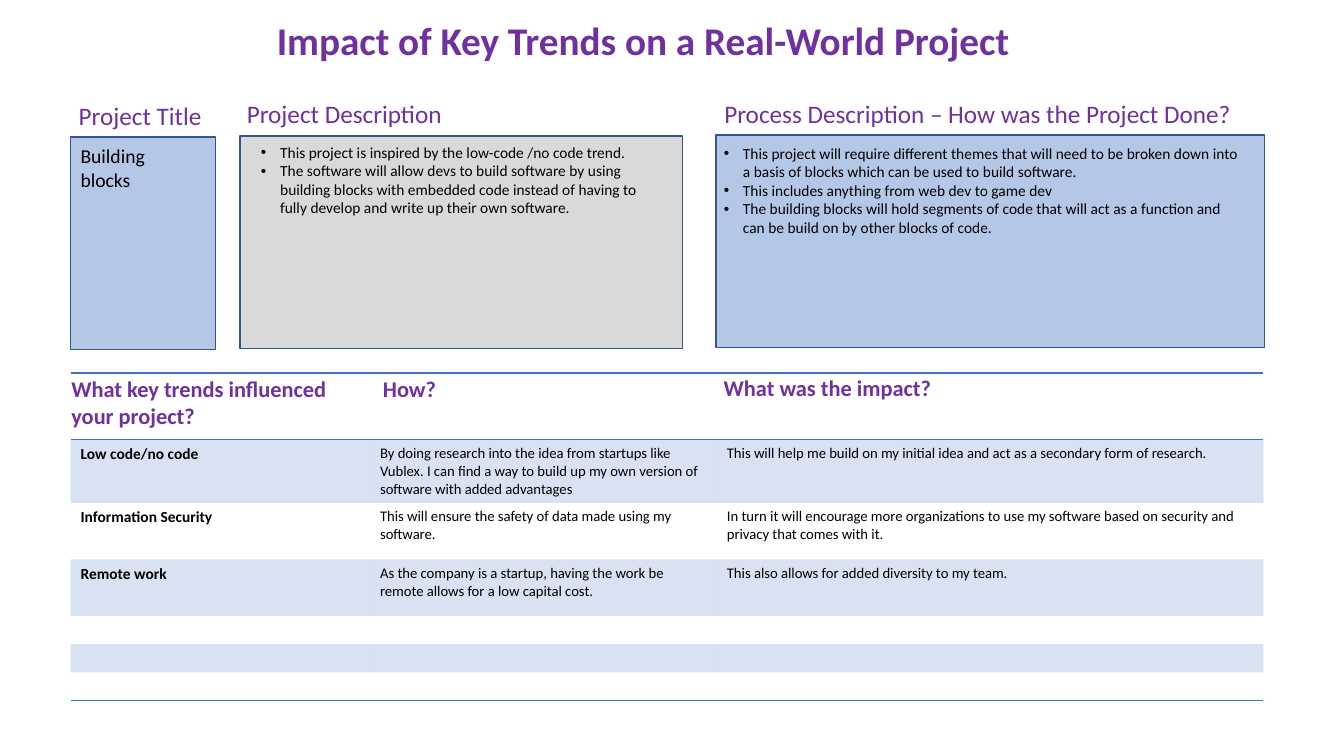
"""Builds a one-slide summary of key trends and their impact on a project."""
from lxml import etree
from pptx import Presentation, util as u
from pptx.dml.color import RGBColor
from pptx.enum import shapes, text
from pptx.oxml import ns

PURPLE = RGBColor(0x70, 0x30, 0xA0)
BLACK = RGBColor(0, 0, 0)
PALE = RGBColor(0xB4, 0xC7, 0xE7)
GRAY = RGBColor(0xD9, 0xD9, 0xD9)
NAVY = RGBColor(0x32, 0x54, 0x91)
BLUE = RGBColor(0x44, 0x72, 0xC4)
FONT = "Calibri"
PLAIN = "{2D5ABB26-0587-4C30-8999-92F81FD0307C}"

TITLE = "Impact of Key Trends on a Real-World Project "
PANELS = [((0.7, 1.36, 1.44, 2.11), PALE),
          ((2.38, 1.35, 4.39, 2.11), GRAY),
          ((7.1, 1.34, 5.44, 2.11), PALE)]
LABELS = [("Project Title", (0.59, 0.95, 1.6, 0.4)),
          ("Project Description", (2.28, 0.93, 2.27, 0.4)),
          ("Process Description – How was the Project Done?", (7.02, 0.93, 5.35, 0.4))]
NAME = "Building blocks "
NOTES = [
    ((2.49, 1.37, 4.08, 0.84), [
        "This project is inspired by the low-code /no code trend.",
        "The software will allow devs to build software by using building blocks with "
        "embedded code instead of having to fully develop and write up their own software."]),
    ((7.08, 1.38, 5.35, 1.03), [
        "This project will require different themes that will need to be broken down into "
        "a basis of blocks which can be used to build software.",
        "This includes anything from web dev to game dev",
        "The building blocks will hold segments of code that will act as a function and "
        "can be build on by other blocks of code."])]
HEADS = [("What key trends influenced your project?", (0.61, 3.67, 3.09, 0.64)),
         ("How?", (3.7, 3.67, 2.74, 0.37)),
         ("What was the impact?", (7.08, 3.66, 2.74, 0.37))]
BLANK = ("", "", "")
ROWS = [
    BLANK,
    ("Low code/no code",
     "By doing research into the idea from startups like Vublex. I can find a way to "
     "build up my own version of software with added advantages",
     "This will help me build on my initial idea and act as a secondary form of research."),
    ("Information Security",
     "This will ensure the safety of data made using my software.",
     "In turn it will encourage more organizations to use my software based on security "
     "and privacy that comes with it."),
    ("Remote work",
     "As the company is a startup, having the work be remote allows for a low capital cost.",
     "This also allows for added diversity to my team."),
    BLANK, BLANK, BLANK]
WIDTHS = [2.97, 3.44, 5.42]
HEIGHTS = [0.66, 0.63, 0.56, 0.56, 0.28, 0.28, 0.28]


def place(box):
    return [u.Inches(n) for n in box]


def write(frame, lines, size=11, color=BLACK, bold=False, center=False, bullet=False):
    frame.word_wrap = True
    for i, line in enumerate(lines):
        para = frame.add_paragraph() if i else frame.paragraphs[0]
        if center:
            para.alignment = text.PP_ALIGN.CENTER
        if bullet:
            props = para._p.get_or_add_pPr()
            props.set("marL", str(u.Inches(0.19)))
            props.set("indent", str(-u.Inches(0.19)))
            etree.SubElement(props, ns.qn("a:buFont"), typeface="Arial")
            etree.SubElement(props, ns.qn("a:buChar"), char="•")
        if not line:
            etree.SubElement(para._p, ns.qn("a:endParaRPr"), sz=str(int(size * 100)))
            continue
        run = para.add_run()
        run.text = line
        font = run.font
        font.name, font.size, font.bold = FONT, u.Pt(size), bold
        font.color.rgb = color


def label(box, lines, **form):
    write(slide.shapes.add_textbox(*place(box)).text_frame, lines, **form)


def tint(cell):
    cell.fill.solid()
    cell.fill.fore_color.rgb = BLUE
    color = cell._tc.tcPr.find(".//" + ns.qn("a:srgbClr"))
    etree.SubElement(color, ns.qn("a:alpha"), val="20000")


def rule(cell, sides):
    props = cell._tc.get_or_add_tcPr()
    for i, side in enumerate(sides):
        line = etree.Element(ns.qn("a:ln" + side), w=str(u.Pt(1)))
        fill = etree.SubElement(line, ns.qn("a:solidFill"))
        etree.SubElement(fill, ns.qn("a:srgbClr"), val=str(BLUE))
        props.insert(i, line)


deck = Presentation()
deck.slide_width, deck.slide_height = u.Inches(13.33), u.Inches(7.5)
slide = deck.slides.add_slide(deck.slide_layouts[6])

label((0.92, 0.11, 11, 0.57), [TITLE], size=28, color=PURPLE, bold=True, center=True)
for box, color in PANELS:
    panel = slide.shapes.add_shape(shapes.MSO_SHAPE.RECTANGLE, *place(box))
    panel.shadow.inherit = False
    panel.fill.solid()
    panel.fill.fore_color.rgb = color
    panel.line.color.rgb = NAVY
    panel.line.width = u.Pt(1)
for words, box in LABELS:
    label(box, [words], size=18, color=PURPLE, center=True)
label((0.7, 1.38, 1.09, 0.57), [NAME], size=14)
for box, lines in NOTES:
    label(box, lines, bullet=True)
for words, box in HEADS:
    label(box, [words], size=16, color=PURPLE, bold=True)

area = place((0.7, 3.7, sum(WIDTHS), sum(HEIGHTS)))
grid = slide.shapes.add_table(len(ROWS), len(WIDTHS), *area).table
grid.first_row = grid.horz_banding = False
grid._tbl.tblPr.find(ns.qn("a:tableStyleId")).text = PLAIN
for col, width in zip(grid.columns, WIDTHS):
    col.width = u.Inches(width)
for r, (row, height) in enumerate(zip(ROWS, HEIGHTS)):
    grid.rows[r].height = u.Inches(height)
    for c, words in enumerate(row):
        cell = grid.cell(r, c)
        write(cell.text_frame, [words], size=10.5 if c or not words else 11, bold=c == 0)
        if r % 2:
            tint(cell)
        else:
            cell.fill.background()
        if r == 0:
            rule(cell, "TB")
        elif r == len(ROWS) - 1:
            rule(cell, "B")

deck.save("out.pptx")
